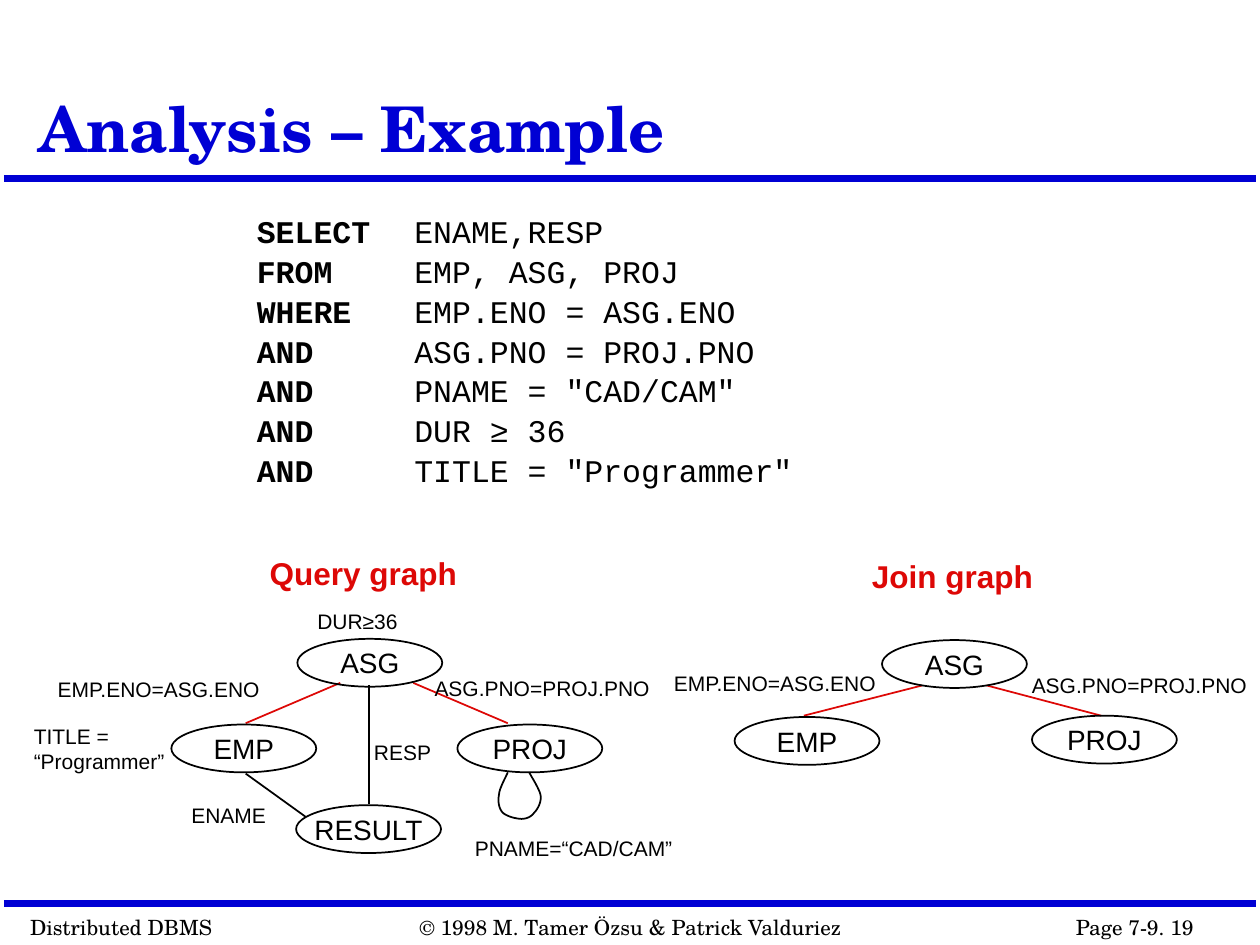
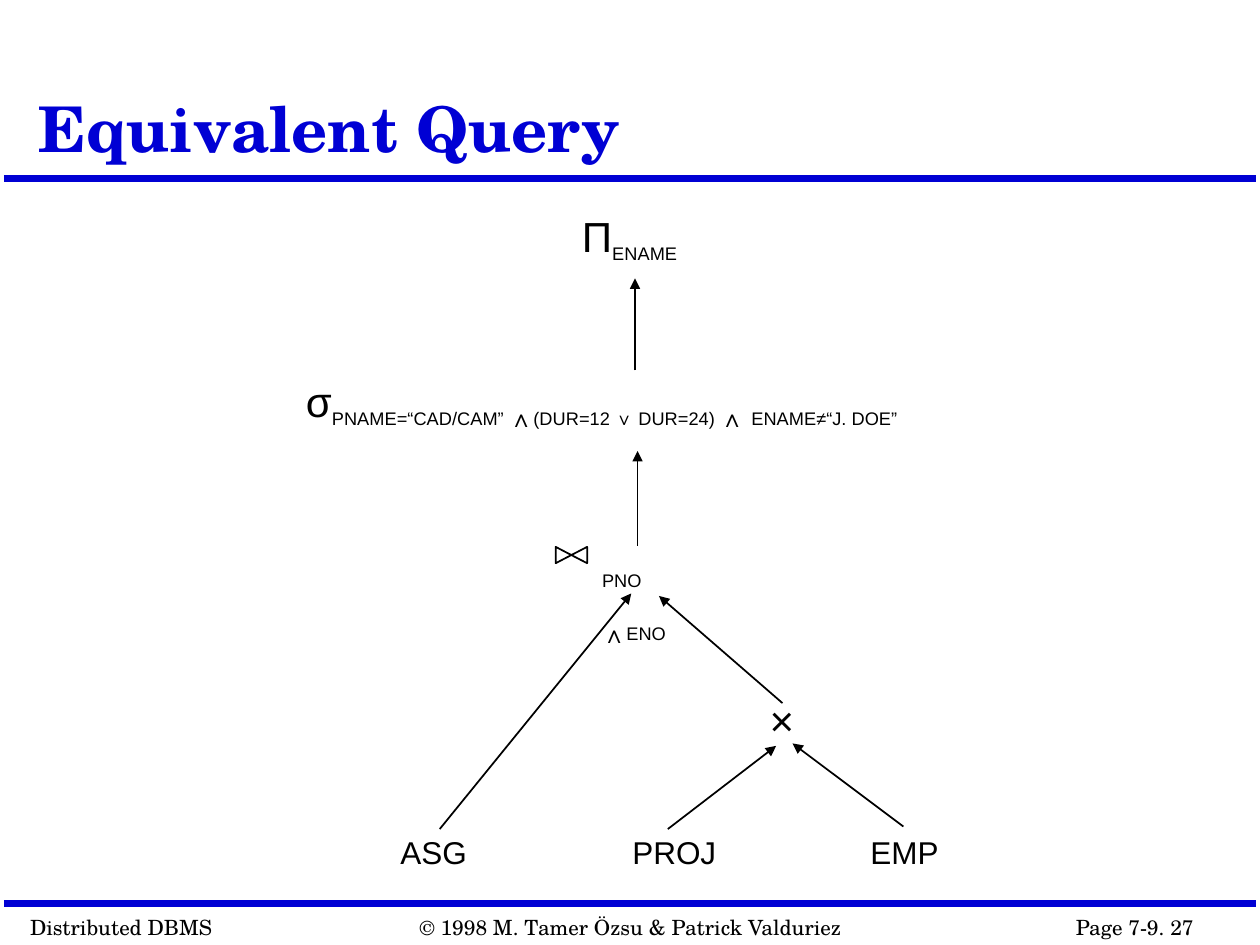
from lxml import etree
from pptx import Presentation
from pptx.dml.color import RGBColor
from pptx.enum import shapes, text
from pptx.oxml.ns import qn
from pptx.util import Inches, Pt

HUES = {"blue": "0000D4", "red": "DD0806", "black": "000000", "white": "FFFFFF"}
SERIF, SANS, MONO = "TeX Gyre Schola", "Arial", "Courier New"
WIDE, HIGH = 10, 7.5
EDGE = 0.03
RULES = [1.42, 7.17]
NODE = (1.15, 0.38)

FOOT = [(0.14, 1.65, "Distributed DBMS"),
        (3.23, 3.57, "© 1998 M. Tamer Özsu & Patrick Valduriez")]

QUERY = [
    ("SELECT", "ENAME,RESP"),
    ("FROM", "EMP, ASG, PROJ"),
    ("WHERE", "EMP.ENO = ASG.ENO"),
    ("AND", "ASG.PNO = PROJ.PNO"),
    ("AND", 'PNAME = "CAD/CAM"'),
    ("AND", "DUR ≥ 36"),
    ("AND", 'TITLE = "Programmer"'),
]
MARGIN, HANG, STOP = 1.19, 0.25, 1
HEADS = [(2.07, 4.41, 1.63, "Query graph"), (6.85, 4.44, 1.42, "Join graph")]
NODES = [
    (2.36, 5.07, "ASG"), (1.36, 5.75, "EMP"), (3.63, 5.75, "PROJ"),
    (2.35, 6.39, "RESULT"),
    (7, 5.08, "ASG"), (5.83, 5.69, "EMP"), (8.19, 5.68, "PROJ"),
]
EDGES = [
    ("red", 2.7, 5.42, 1.95, 5.74), ("red", 3.28, 5.42, 4.03, 5.74),
    ("red", 7.32, 5.44, 6.38, 5.68), ("red", 7.83, 5.44, 8.74, 5.68),
    ("black", 1.95, 6.14, 2.45, 6.5), ("black", 2.93, 5.44, 2.93, 6.38),
]
LABELS = [
    (2.42, 4.78, 0.84, "DUR≥36"),
    (0.36, 5.32, 1.82, "EMP.ENO=ASG.ENO"), (3.35, 5.31, 1.91, "ASG.PNO=PROJ.PNO"),
    (5.25, 5.27, 1.82, "EMP.ENO=ASG.ENO"), (8.09, 5.29, 1.91, "ASG.PNO=PROJ.PNO"),
    (0.17, 5.69, 1.24, "TITLE =\n“Programmer”"), (2.87, 5.82, 0.7, "RESP"),
    (1.42, 6.32, 0.82, "ENAME"), (3.67, 6.58, 1.8, "PNAME=“CAD/CAM”"),
]
LOOP = [(4.03, 6.13), (4.02, 6.16), (3.96, 6.26), (3.96, 6.31),
        (3.95, 6.36), (3.96, 6.42), (3.99, 6.45), (4.02, 6.48),
        (4.1, 6.5), (4.14, 6.5), (4.18, 6.5), (4.22, 6.48),
        (4.24, 6.45), (4.27, 6.42), (4.3, 6.36), (4.29, 6.31),
        (4.28, 6.26), (4.22, 6.17), (4.2, 6.13)]

STEPS = [
    (4.52, 1.62, 0.98, 0.52, False, [("Π", 24, 0), ("ENAME", 18, 1)]),
    (2.33, 2.93, 5.51, 0.55, True, [
        ("σ", 24, 0), ("PNAME=“CAD/CAM” ", 18, 1), ("∧", 24, 1),
        ("(DUR=12 ∨ DUR=24) ", 18, 1), ("∧ ", 24, 1), ("ENAME≠“J. DOE”", 18, 1)]),
    (4.68, 4.3, 0.97, 0.55, True, [("PNO ", 18, 1), ("∧", 24, 1), ("ENO", 18, 1)]),
    (6.01, 5.46, 0.46, 0.5, False, [("×", 24, 0)]),
]
LEAVES = [(3.08, 0.73, "ASG"), (4.92, 0.87, "PROJ"), (6.81, 0.74, "EMP")]
ARROWS = [
    (5.3, 6.58, 6.16, 5.92), (7.17, 6.56, 6.29, 5.9), (3.49, 6.58, 5.01, 4.71),
    (6.21, 5.58, 5.23, 4.73), (5.06, 4.33, 5.06, 3.58), (5.04, 2.94, 5.04, 2.21),
]


def tint(hue):
    return RGBColor.from_string(HUES[hue])


def style(font, size, face=SANS, hue="black", bold=False):
    font.size, font.name, font.bold = Pt(size), face, bold
    font.color.rgb = tint(hue)


def box(slide, x, y, w, h, wrap=False):
    frame = slide.shapes.add_textbox(*map(Inches, (x, y, w, h))).text_frame
    frame.word_wrap = wrap
    return frame


def label(slide, x, y, w, h, words, size, face=SANS, hue="black", bold=False):
    frame = box(slide, x, y, w, h)
    frame.text = words
    for para in frame.paragraphs:
        style(para.font, size, face, hue, bold)
    return frame


def line(slide, hue, x1, y1, x2, y2, width=1, arrow=False):
    link = slide.shapes.add_connector(
        shapes.MSO_CONNECTOR.STRAIGHT, *map(Inches, (x1, y1, x2, y2)))
    link.line.color.rgb, link.line.width = tint(hue), Pt(width)
    if arrow:
        etree.SubElement(link.line._get_or_add_ln(), qn("a:tailEnd"), type="triangle")
    etree.SubElement(link._element.spPr, qn("a:effectLst"))


def outline(shape):
    shape.shadow.inherit = False
    shape.fill.background()
    shape.line.color.rgb, shape.line.width = tint("black"), Pt(1)
    return shape


def preset(slide, kind, x, y, w, h):
    return outline(slide.shapes.add_shape(kind, *map(Inches, (x, y, w, h))))


def page(deck, title, number):
    slide = deck.slides.add_slide(deck.slide_layouts[6])
    for y in RULES:
        line(slide, "blue", EDGE, y, WIDE - EDGE, y, 4)
    for x, w, words in FOOT + [(8.44, 1.14, f"Page 7-9. {number}")]:
        label(slide, x, 7.21, w, 0.3, words, 12, SERIF)
    frame = label(slide, 0.21, 0.12, 7.83, 1.25, title, 36, SERIF, "blue", True)
    frame.word_wrap = True
    frame.vertical_anchor = text.MSO_ANCHOR.BOTTOM
    frame.paragraphs[0].line_spacing = 0.9
    return slide


def code(slide):
    frame = box(slide, 1, 1.67, 7.83, 2.56, True)
    for row, (key, rest) in enumerate(QUERY):
        para = frame.add_paragraph() if row else frame.paragraphs[0]
        props = para._p.get_or_add_pPr()
        for name, size in (("marL", MARGIN), ("indent", -HANG), ("defTabSz", STOP)):
            props.set(name, str(Inches(size)))
        para.line_spacing = 0.9
        if row:
            para.space_before = Pt(3.3)
        etree.SubElement(props, qn("a:buNone"))
        tabs = etree.SubElement(props, qn("a:tabLst"))
        etree.SubElement(tabs, qn("a:tab"), pos=str(Inches(MARGIN + STOP)), algn="l")
        style(para.font, 18, MONO)
        for words, bold in ((key + "\t", True), (rest, False)):
            run = para.add_run()
            run.text = words
            style(run.font, 18, MONO, bold=bold)


def curve(points, cuts=8):
    for i in range(0, len(points) - 1, 3):
        quad = points[i:i + 4]
        for cut in range(1, cuts + 1):
            t = cut / cuts
            mix = ((1 - t) ** 3, 3 * t * (1 - t) ** 2, 3 * t * t * (1 - t), t ** 3)
            yield tuple(Inches(sum(m * p[axis] for m, p in zip(mix, quad)))
                        for axis in (0, 1))


def graphs(slide):
    for x, y, w, words in HEADS:
        frame = label(slide, x, y, w, 0.31, words, 18, hue="red", bold=True)
        frame.margin_left = frame.margin_right = Inches(0.07)
        frame.margin_top = frame.margin_bottom = Inches(0.03)
        frame.paragraphs[0].line_spacing = 0.85
    for edge in EDGES:
        line(slide, *edge)
    for x, y, words in NODES:
        oval = preset(slide, shapes.MSO_SHAPE.OVAL, x, y, *NODE)
        if words == "RESULT":
            oval.fill.solid()
            oval.fill.fore_color.rgb = tint("white")
        frame = oval.text_frame
        frame.text, frame.word_wrap = words, False
        frame.margin_top = frame.margin_bottom = 0
        frame.vertical_anchor = text.MSO_ANCHOR.MIDDLE
        frame.paragraphs[0].alignment = text.PP_ALIGN.CENTER
        style(frame.paragraphs[0].font, 16)
    for x, y, w, words in LABELS:
        label(slide, x, y, w, 0.5 if "\n" in words else 0.3, words, 12)
    pen = slide.shapes.build_freeform(*map(Inches, LOOP[0]))
    pen.add_line_segments(list(curve(LOOP)), close=False)
    outline(pen.convert_to_shape())


def tree(slide):
    for x, y, w, h, wrap, parts in STEPS:
        para = box(slide, x, y, w, h, wrap).paragraphs[0]
        style(para.font, 24)
        for words, size, low in parts:
            run = para.add_run()
            run.text = words
            style(run.font, size)
            if low:
                run.font._element.set("baseline", "-25000")
    for x, w, words in LEAVES:
        label(slide, x, 6.56, w, 0.4, words, 18)
    for ends in ARROWS:
        line(slide, "black", *ends, arrow=True)
    join = preset(slide, shapes.MSO_SHAPE.FLOWCHART_COLLATE, 4.47, 4.28, 0.13, 0.25)
    join.rotation = 270


def main():
    deck = Presentation()
    deck.slide_width, deck.slide_height = Inches(WIDE), Inches(HIGH)
    first = page(deck, "Analysis – Example", 19)
    code(first)
    graphs(first)
    tree(page(deck, "Equivalent Query", 27))
    deck.save("out.pptx")


if __name__ == "__main__":
    main()
